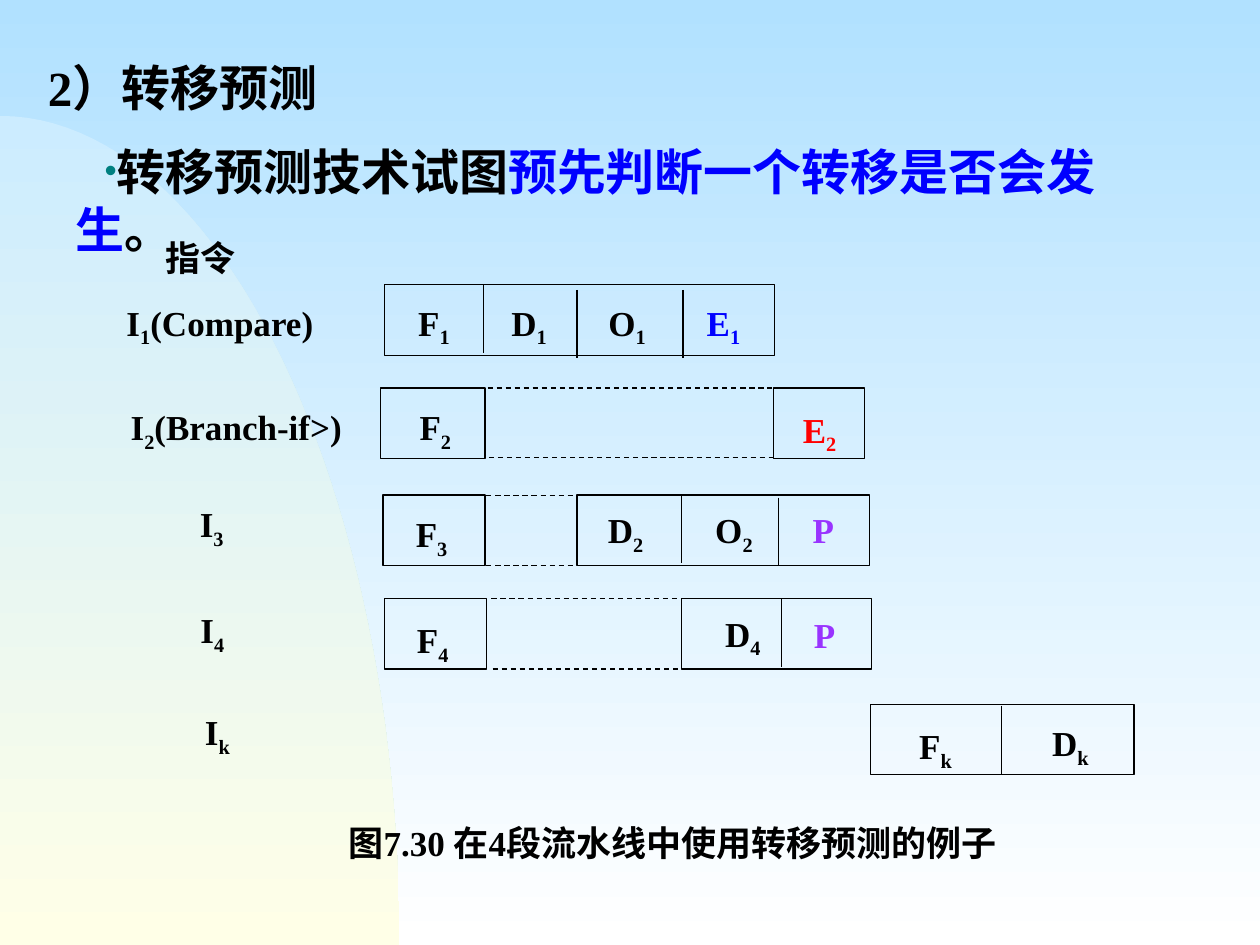
from lxml import etree
from pptx import Presentation
from pptx.dml.color import RGBColor
from pptx.enum.dml import MSO_LINE_DASH_STYLE as Dash
from pptx.enum.shapes import MSO_CONNECTOR as Connector, MSO_SHAPE as Shape
from pptx.enum.text import MSO_ANCHOR as Anchor, MSO_AUTO_SIZE as AutoSize, PP_ALIGN as Align
from pptx.oxml.ns import qn
from pptx.util import Inches, Pt

BLACK, BLUE, RED, PURPLE, TEAL = "000000", "0000FF", "FF0000", "9933FF", "008080"
SERIF, HAN = "Times New Roman", "Noto Sans CJK SC"
ROW_HEIGHT = 0.56

# Each row: top, instruction label (text, left, offset, width), boxes (left, width),
# dividers (x, offset), dashed lines (start, end, offset), stages (text, left, offset, colour)
ROWS = [
    (2.26, ("I_1(Compare)", 0.79, 0.08, 1.91), [(3.05, 3.1)],
     [(3.84, 0), (4.58, 0.04), (5.42, 0.04)], [], []),
    (3.08, ("I_2(Branch-if>)", 0.92, 0.09, 1.91), [(3.02, 0.83), (6.14, 0.72)],
     [], [(3.87, 6.13, 0), (3.88, 6.16, 0.55)],
     [("F_2", 3.18, 0.09, BLACK), ("E_2", 6.23, 0.11, RED)]),
    (3.93, ("I_3", 1.37, 0.01, 0.62), [(3.04, 0.81), (4.58, 2.32)],
     [(5.41, 0), (6.18, 0.02)], [(3.86, 4.63, 0), (3.86, 4.63, 0.56)],
     [("F_3", 3.15, 0.09, BLACK), ("D_2", 4.69, 0.06, BLACK),
      ("O_2", 5.55, 0.06, BLACK), ("P", 6.26, 0.06, PURPLE)]),
    (4.75, ("I_4", 1.43, 0.03, 0.51), [(3.05, 0.81), (5.41, 1.51)],
     [(6.2, 0)], [(3.9, 5.43, 0), (3.91, 5.43, 0.56)],
     [("F_4", 3.16, 0.11, BLACK), ("D_4", 5.62, 0.06, BLACK), ("P", 6.27, 0.07, PURPLE)]),
    (5.59, ("I_k", 1.47, 0, 0.51), [(6.91, 2.09)],
     [(7.95, 0.01)], [],
     [("F_k", 7.15, 0.11, BLACK), ("D_k", 8.22, 0.09, BLACK)]),
]
FULL_PIPELINE = [("F_1", BLACK), ("D_1", BLACK), ("O_1", BLACK), ("E_1", BLUE)]


def color(value):
    return RGBColor.from_string(value)


def apply_gradient(fill, start, end):
    fill.gradient()
    fill.gradient_angle = 270
    for stop, position, value in zip(fill.gradient_stops, (0, 1), (start, end)):
        stop.position = position
        stop.color.rgb = color(value)


def add_run(paragraph, text, value=BLACK, size=20, font=SERIF):
    run = paragraph.add_run()
    run.text = text
    formats = {"name": font, "size": Pt(size), "bold": True}
    for name, setting in formats.items():
        setattr(run.font, name, setting)
    run.font.color.rgb = color(value)
    return run


def add_symbol(paragraph, text, value=BLACK):
    """Write a symbol such as I_1(Compare), lowering the character after the underscore."""
    base, _, rest = text.partition("_")
    add_run(paragraph, base, value)
    if rest:
        add_run(paragraph, rest[0], value).font._element.set("baseline", "-25000")
    if rest[1:]:
        add_run(paragraph, rest[1:], value)


def format_frame(shape, box):
    shape.left, shape.top, shape.width, shape.height = map(Inches, box)
    formats = {
        "word_wrap": True, "auto_size": AutoSize.NONE, "vertical_anchor": Anchor.TOP,
        "margin_left": Inches(0.1), "margin_right": Inches(0.1),
        "margin_top": Inches(0.05), "margin_bottom": Inches(0.05),
    }
    for name, setting in formats.items():
        setattr(shape.text_frame, name, setting)
    paragraph = shape.text_frame.paragraphs[0]
    paragraph.space_before = Pt(0)
    return paragraph


def add_text(slide, box, align=Align.CENTER):
    paragraph = format_frame(slide.shapes.add_textbox(*map(Inches, box)), box)
    paragraph.alignment = align
    return paragraph


def add_line(slide, start, end, dash=None):
    line = slide.shapes.add_connector(Connector.STRAIGHT, *map(Inches, start + end))
    line.line.color.rgb = color(BLACK)
    line.line.width = Pt(0.75)
    if dash:
        line.line.dash_style = dash
    etree.SubElement(line._element.spPr, qn("a:effectLst"))


def add_box(slide, box):
    shape = slide.shapes.add_shape(Shape.RECTANGLE, *map(Inches, box))
    shape.shadow.inherit = False
    shape.fill.background()
    shape.line.color.rgb = color(BLACK)
    shape.line.width = Pt(0.75)


def add_backdrop(slide, box):
    """Fill the background and draw the curved area in the lower left."""
    apply_gradient(slide.background.fill, "B1E1FF", "FFFFFF")
    left, top, width, height = box
    steps = 48
    points = []
    for step in range(1, steps + 1):
        t = step / steps
        across = 3 * (1 - t) ** 2 * t * 0.55 + 3 * (1 - t) * t ** 2 + t ** 3
        down = 3 * (1 - t) * t ** 2 * 0.45 + t ** 3
        points.append((Inches(left + width * across), Inches(top + height * down)))
    builder = slide.shapes.build_freeform(Inches(left), Inches(top))
    builder.add_line_segments(points + [(Inches(left), Inches(top + height))], close=True)
    curve = builder.convert_to_shape()
    curve.shadow.inherit = False
    curve.line.fill.background()
    apply_gradient(curve.fill, "CCECFF", "FFFFE7")
    slide.shapes._spTree.insert(2, curve._element)


def add_heading(slide, box):
    paragraph = format_frame(slide.shapes.title, box)
    paragraph.alignment = Align.LEFT
    add_run(paragraph, "2", size=28)
    add_run(paragraph, "）转移预测", size=28, font=HAN)


def add_statement(slide, box):
    paragraph = format_frame(slide.placeholders[1], box)
    properties = paragraph._p.get_or_add_pPr()
    properties.set("marL", "0")
    properties.set("indent", str(Inches(0.23)))
    bullet_color = etree.SubElement(properties, qn("a:buClr"))
    etree.SubElement(bullet_color, qn("a:srgbClr"), val=TEAL)
    etree.SubElement(properties, qn("a:buSzPct"), val="71000")
    etree.SubElement(properties, qn("a:buFont"), typeface="Arial")
    etree.SubElement(properties, qn("a:buChar"), char="•")
    for text, value in (("转移预测技术试图", BLACK),
                        ("预先判断一个转移是否会发生", BLUE), ("。", BLACK)):
        add_run(paragraph, text, value, 28, HAN)


def add_full_pipeline(slide, box):
    """Write the four stages of the first row at tab stops."""
    paragraph = add_text(slide, box, Align.LEFT)
    properties = paragraph._p.get_or_add_pPr()
    tabs = etree.SubElement(properties, qn("a:tabLst"))
    for stop in (0.13, 0.87, 1.64, 2.42):
        etree.SubElement(tabs, qn("a:tab"), pos=str(Inches(stop)), algn="l")
    for text, value in FULL_PIPELINE:
        add_symbol(paragraph, "\t" + text, value)


def add_row(slide, top, label, boxes, dividers, dashes, stages):
    for left, width in boxes:
        add_box(slide, (left, top, width, ROW_HEIGHT))
    for x, offset in dividers:
        add_line(slide, (x, top + offset), (x, top + offset + 0.54))
    for start, end, offset in dashes:
        add_line(slide, (start, top + offset), (end, top + offset), Dash.DASH)
    text, left, offset, width = label
    add_symbol(add_text(slide, (left, top + offset, width, 0.44)), text)
    for text, left, offset, value in stages:
        add_symbol(add_text(slide, (left, top + offset, 0.55, 0.44)), text, value)


def add_diagram(slide):
    add_run(add_text(slide, (1.14, 1.83, 0.9, 0.36)), "指令")
    for row in ROWS:
        add_row(slide, *row)
    add_full_pipeline(slide, (3.09, 2.34, 3.12, 0.48))
    add_run(add_text(slide, (2.48, 6.47, 5.72, 0.43)), "图7.30 在4段流水线中使用转移预测的例子")


def main():
    presentation = Presentation()
    presentation.slide_width, presentation.slide_height = Inches(10), Inches(7.5)
    slide = presentation.slides.add_slide(presentation.slide_layouts[1])
    add_backdrop(slide, (0, 0.92, 3.17, 6.58))
    add_heading(slide, (0.28, 0.41, 2.51, 0.57))
    add_statement(slide, (0.5, 1.07, 8.4, 1.05))
    add_diagram(slide)
    presentation.save("out.pptx")


if __name__ == "__main__":
    main()
